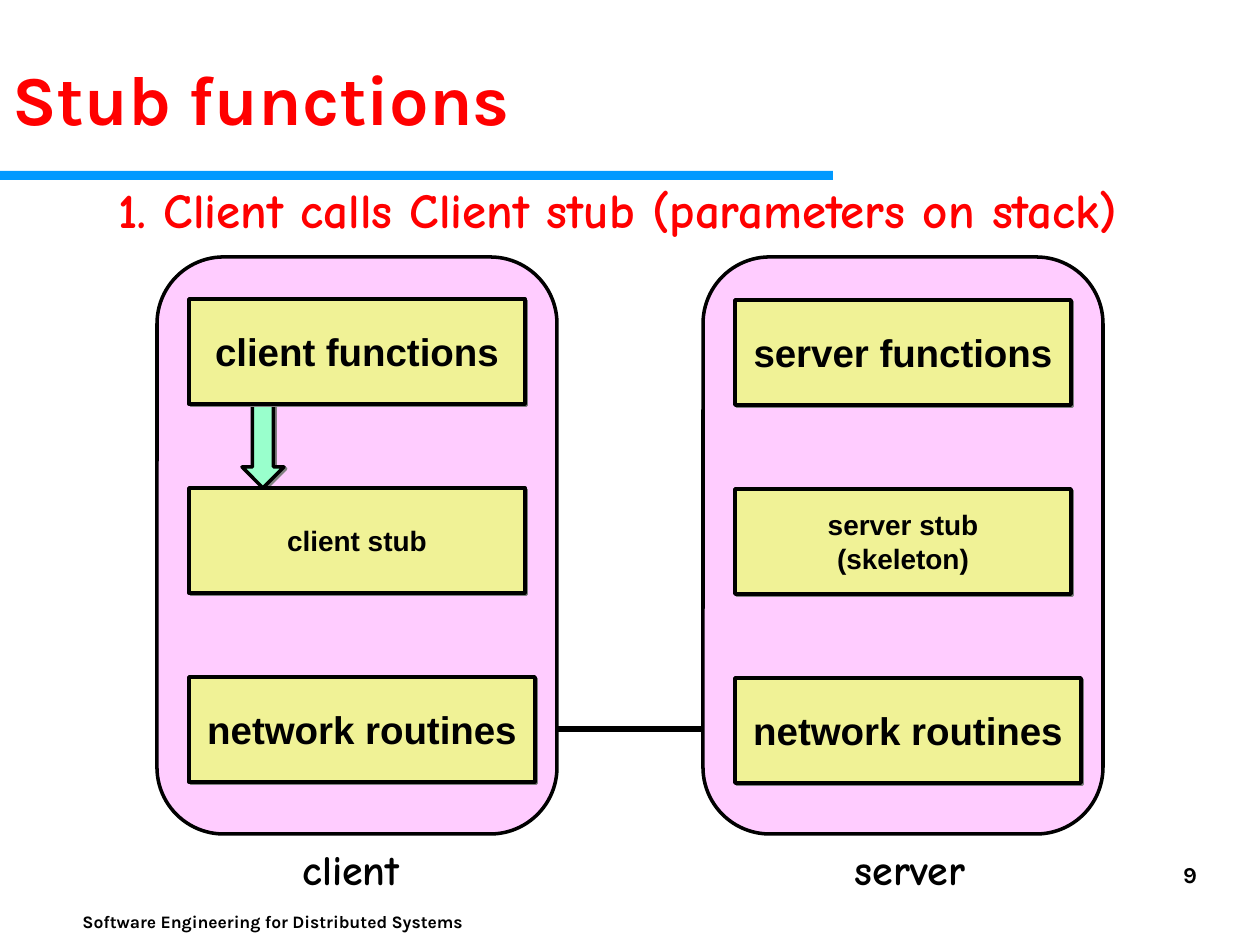
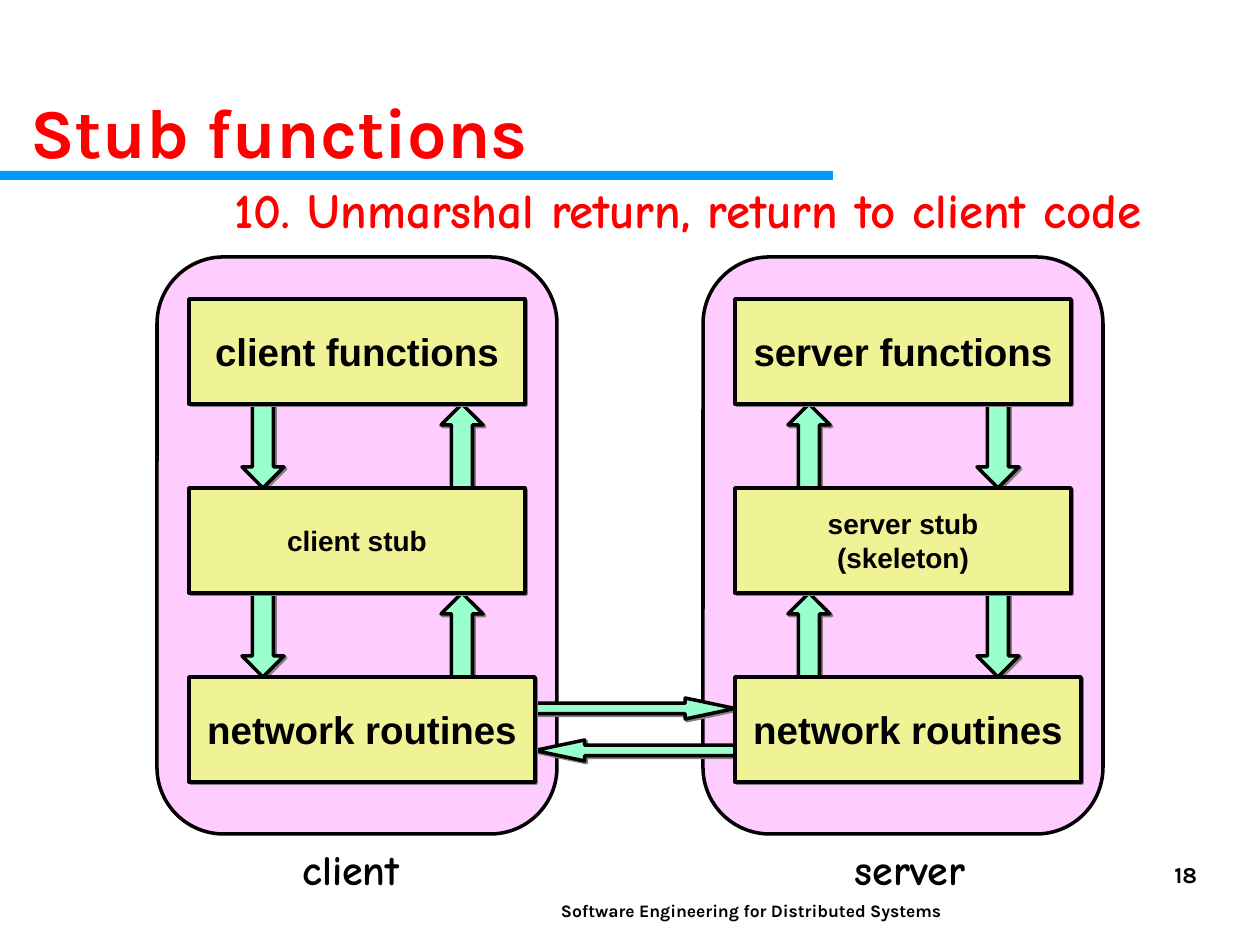
"""Build two slides on stub functions in remote procedure calls."""
from dataclasses import dataclass

from lxml.etree import SubElement
from pptx import Presentation
from pptx.dml.color import RGBColor
from pptx.enum.shapes import MSO_CONNECTOR as Line, MSO_SHAPE as Shape
from pptx.enum.text import MSO_ANCHOR as Anchor, PP_ALIGN as Align
from pptx.oxml.ns import qn
from pptx.util import Emu, Pt


@dataclass(frozen=True)
class Style:
    """Hold the look of one kind of text."""
    font: str
    size: int
    color: str = "000000"
    spacing: float = 1.0


@dataclass(frozen=True)
class Theme:
    """Hold the colours, line widths and text styles."""
    bar: str = "0099FF"
    panel: str = "FFCCFF"
    box: str = "F0F296"
    arrow: str = "99FFCC"
    ink: str = "000000"
    shadow: str = "808080"
    outline: int = 2
    link: int = 3
    title: Style = Style("Karla", 40, "FF0000", 1.01)
    step: Style = Style("Comic Neue", 28, "FF0000")
    caption: Style = Style("Comic Neue", 24)
    footer: Style = Style("Karla", 10, spacing=1.01)
    number: Style = Style("Karla", 13, spacing=1.01)
    layer: Style = Style("Arial", 22)
    stub: Style = Style("Arial", 16)


T = Theme()
CLIENT_X, SERVER_X = 189, 735
BOX_W, BOX_H, NETWORK_W = 336, 105, 346
TOP, PITCH = 299, 189
ARROW_W, ARROW_H = 42, 84
FOOTER = "Software Engineering for Distributed Systems"
CLIENT_LAYERS = [("client functions", T.layer), ("client stub", T.stub), ("network routines", T.layer)]
SERVER_LAYERS = [("server functions", T.layer), ("server stub\n(skeleton)", T.stub),
                 ("network routines", T.layer)]


def px(*lengths):
    """Turn pixel lengths into EMU."""
    return [Emu(round(n * 914400 / 126)) for n in lengths]


def rgb(color):
    """Read a hex colour."""
    return RGBColor.from_string(color)


def write(tf, text, style, align):
    """Write one paragraph, with a line break at each newline."""
    p = tf.paragraphs[0]
    p.alignment = align
    p.line_spacing = style.spacing
    for i, line in enumerate(text.split("\n")):
        if i:
            p.add_line_break()
        r = p.add_run()
        r.text = line
        r.font.name, r.font.size, r.font.bold = style.font, Pt(style.size), True
        r.font.color.rgb = rgb(style.color)


def add_text(s, at, text, style, align=Align.LEFT, wrap=True, inset=True):
    """Add a text box."""
    tf = s.shapes.add_textbox(*px(*at)).text_frame
    tf.word_wrap = wrap
    if not inset:
        tf.margin_left = tf.margin_right = tf.margin_top = tf.margin_bottom = 0
    write(tf, text, style, align)


def add_shape(s, kind, at, fill, outlined=True, shadowed=False):
    """Add a filled shape, with an outline and a hard shadow on request."""
    sp = s.shapes.add_shape(kind, *px(*at))
    sp.fill.solid()
    sp.fill.fore_color.rgb = rgb(fill)
    if outlined:
        sp.line.color.rgb = rgb(T.ink)
        sp.line.width = Pt(T.outline)
    else:
        sp.line.fill.background()
    sp.shadow.inherit = False
    if shadowed:
        effects = sp._element.spPr.find(qn("a:effectLst"))
        shadow = SubElement(effects, qn("a:outerShdw"), dist=str(Pt(1.4)), dir="2700000",
                            algn="ctr", rotWithShape="0")
        SubElement(shadow, qn("a:srgbClr"), val=T.shadow)
    return sp


def add_layers(s, x, top, layers):
    """Stack the layer boxes of one side, the network box being wider."""
    for i, (text, style) in enumerate(layers):
        width = NETWORK_W if i == 2 else BOX_W
        sp = add_shape(s, Shape.RECTANGLE, (x, top + i * PITCH, width, BOX_H), T.box, shadowed=True)
        tf = sp.text_frame
        tf.word_wrap = False
        tf.vertical_anchor = Anchor.MIDDLE
        write(tf, text, style, Align.CENTER)


def add_call(s, x, gap, kind):
    """Add a vertical arrow in the gap below a layer."""
    at = (x, TOP + BOX_H + gap * PITCH, ARROW_W, ARROW_H)
    add_shape(s, kind, at, T.arrow, shadowed=True)


def add_message(s, y, kind):
    """Add a long-headed arrow between the network boxes."""
    left = CLIENT_X + NETWORK_W
    sp = add_shape(s, kind, (left, y, SERVER_X - left, 21), T.arrow, shadowed=True)
    sp.adjustments[1] = 2.37


def add_link(s, x1, x2, y):
    """Add the plain network line."""
    cn = s.shapes.add_connector(Line.STRAIGHT, *px(x1, y, x2, y))
    cn.line.color.rgb = rgb(T.ink)
    cn.line.width = Pt(T.link)
    SubElement(cn._element.spPr, qn("a:effectLst"))


def add_base(prs, number, title_at, footer_at, step_at, step):
    """Start a slide with its bar, title, step, footer and side panels."""
    s = prs.slides.add_slide(prs.slide_layouts[6])
    add_shape(s, Shape.RECTANGLE, (0, 171, 833, 9), T.bar, outlined=False)
    add_text(s, footer_at, FOOTER, T.footer, Align.CENTER, inset=False)
    add_text(s, (903, 861, 294, 66), str(number), T.number, Align.RIGHT, inset=False)
    for x in (CLIENT_X, SERVER_X):
        add_shape(s, Shape.ROUNDED_RECTANGLE, (x - 32, 257, 400, 577), T.panel)
    add_text(s, (290, 837, 122, 63), "client", T.caption, Align.CENTER, wrap=False)
    add_text(s, (842, 837, 136, 63), "server", T.caption, Align.CENTER, wrap=False)
    add_text(s, title_at, "Stub functions", T.title)
    add_text(s, step_at, step, T.step, wrap=False)
    return s


def add_first_step(prs):
    """Show the client calling its stub."""
    s = add_base(prs, 9, (0, 48, 1218, 84), (9, 911, 527, 30), (106, 173, 1027, 72),
                 "1. Client calls Client stub (parameters on stack)")
    add_call(s, CLIENT_X + 53, 0, Shape.DOWN_ARROW)
    add_layers(s, CLIENT_X, TOP, CLIENT_LAYERS)
    add_layers(s, SERVER_X, TOP + 1, SERVER_LAYERS)
    add_link(s, CLIENT_X + 368, SERVER_X - 32, 729)


def add_last_step(prs):
    """Show the whole round trip."""
    s = add_base(prs, 18, (18, 82, 1218, 84), (431, 900, 640, 26), (222, 173, 936, 72),
                 "10. Unmarshal return, return to client code")
    for gap in range(2):
        add_call(s, CLIENT_X + 53, gap, Shape.DOWN_ARROW)
        add_call(s, CLIENT_X + 252, gap, Shape.UP_ARROW)
        add_call(s, SERVER_X + 53, gap, Shape.UP_ARROW)
        add_call(s, SERVER_X + 242, gap, Shape.DOWN_ARROW)
    add_message(s, 698, Shape.RIGHT_ARROW)
    add_message(s, 740, Shape.LEFT_ARROW)
    add_layers(s, CLIENT_X, TOP, CLIENT_LAYERS)
    add_layers(s, SERVER_X, TOP, SERVER_LAYERS)


def main():
    """Build and save the slides."""
    prs = Presentation()
    prs.slide_width, prs.slide_height = px(1260, 945)
    add_first_step(prs)
    add_last_step(prs)
    prs.save("out.pptx")


if __name__ == "__main__":
    main()
